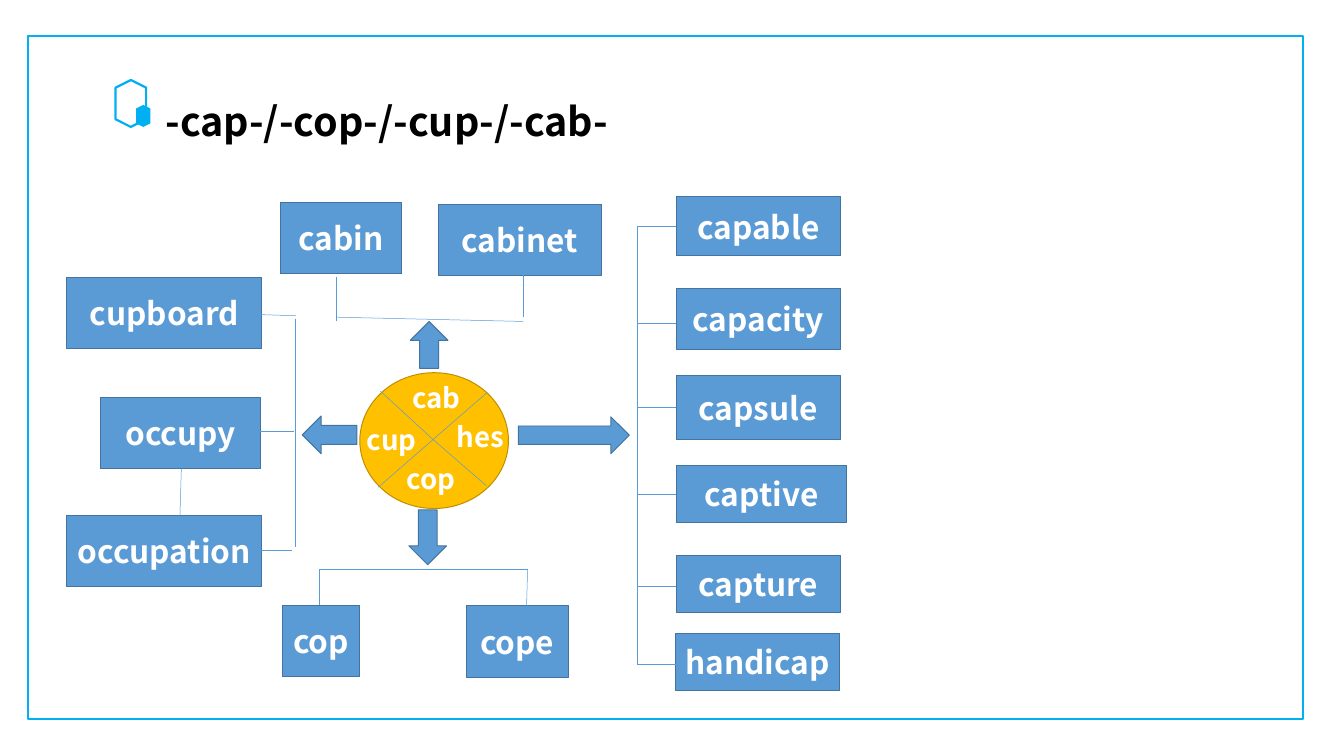
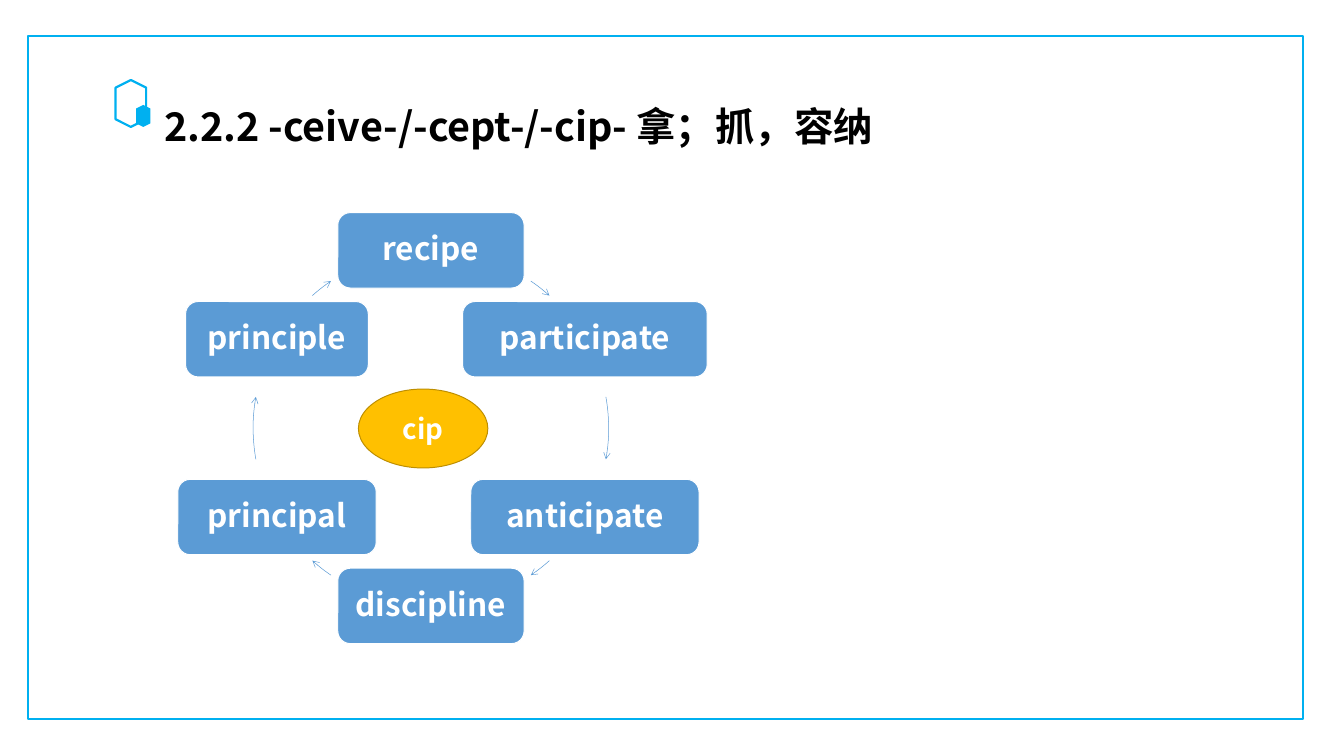
import math

import pptx
import pptx.util
from lxml import etree
from pptx.dml.color import RGBColor
from pptx.enum.shapes import MSO_CONNECTOR, MSO_SHAPE
from pptx.enum.text import MSO_ANCHOR, MSO_AUTO_SIZE, PP_ALIGN
from pptx.oxml.ns import qn

Inches, Pt = pptx.util.Inches, pptx.util.Pt

FONT = "Noto Sans CJK SC"
COLORS = {
    "frame": "00B0F0",
    "box": "5B9BD5",
    "box_edge": "43739E",
    "hub": "FFC000",
    "hub_edge": "BD8E00",
    "light": "FFFFFF",
    "dark": "000000",
}

# Slide 1: boxes as (word, left, top, width, height)
CAP_TITLE = ("-cap-/-cop-/-cup-/-cab-", 2.23, 1.32, 6.99)
BRANCH_BOXES = [
    ("cop", 3.97, 8.51, 1.09, 1),
    ("cope", 6.56, 8.52, 1.43, 1),
    ("cabin", 3.94, 2.85, 1.71, 1),
    ("cabinet", 6.16, 2.87, 2.3, 1),
    ("cupboard", 0.94, 3.9, 2.74, 1),
    ("occupy", 1.41, 5.59, 2.26, 1),
    ("occupation", 0.94, 7.25, 2.74, 1),
    ("capable", 9.51, 2.77, 2.31, 0.83),
    ("capacity", 9.51, 4.05, 2.31, 0.86),
    ("capsule", 9.51, 5.28, 2.31, 0.9),
    ("captive", 9.51, 6.55, 2.4, 0.8),
    ("capture", 9.51, 7.81, 2.31, 0.8),
    ("handicap", 9.5, 8.91, 2.31, 0.8),
]
HUB = (5.06, 5.24, 2.09, 1.91)
HUB_ROOTS = [("cup", 5.06, 5.9), ("hes", 6.32, 5.86), ("cab", 5.7, 5.31), ("cop", 5.62, 6.45)]
HUB_SPOKE_ENDS = [(6.84, 6.83), (6.85, 5.52), (5.32, 6.85), (5.35, 5.5)]
HUB_ARROWS = [
    (MSO_SHAPE.RIGHT_ARROW, 7.29, 5.86, 1.56, 0.52),
    (MSO_SHAPE.DOWN_ARROW, 5.75, 7.17, 0.53, 0.77),
    (MSO_SHAPE.LEFT_ARROW, 4.25, 5.85, 0.77, 0.53),
    (MSO_SHAPE.UP_ARROW, 5.77, 4.52, 0.53, 0.66),
]
CAP_SPINE, CAP_TICKS = 8.96, (3.18, 4.55, 5.73, 6.95, 8.25, 9.34)
BRACKETS = [
    (4.49, 8, 7.42, 8), (4.49, 8.51, 4.49, 8), (7.4, 8.68, 7.42, 8), (3.97, 9.31, 4.28, 9.32),
    (4.73, 4.46, 7.36, 4.52), (4.73, 4.52, 4.73, 3.9), (7.36, 4.46, 7.36, 3.85),
    (4.15, 4.48, 4.15, 7.69), (3.54, 4.42, 4.16, 4.44), (3.55, 6.06, 4.14, 6.06),
    (3.61, 7.74, 4.11, 7.74), (2.53, 7.28, 2.55, 6.59),
    (CAP_SPINE, CAP_TICKS[0], CAP_SPINE, CAP_TICKS[-1]),
] + [(CAP_SPINE, y, 9.5, y) for y in CAP_TICKS]

# Slide 2: words clockwise from the top, with box widths
CIP_TITLE = ("2.2.2 -ceive-/-cept-/-cip- 拿；抓，容纳", 2.21, 1.39, 10.71)
CIP_HUB = (5.04, 5.47, 1.82, 1.11)
CYCLE = [("recipe", 2.62), ("participate", 3.44), ("anticipate", 3.21),
         ("discipline", 2.62), ("principal", 2.79), ("principle", 2.57)]
CYCLE_CENTER, CYCLE_RADIUS, CYCLE_BOX_HEIGHT = (6.06, 6.02), 2.5, 1.06
# Middle angle and half sweep of each arc, in degrees clockwise from the right
CYCLE_ARCS = [(-52, 3.8), (0, 10.1), (52, 3.8), (128, 3.8), (180, 10.1), (232, 3.8)]


def rgb(color):
    return RGBColor.from_string(COLORS[color])


def set_line(line, color, width):
    line.color.rgb = rgb(color)
    line.width = Pt(width)


def write(shape, words, size, color="light", align=PP_ALIGN.CENTER, anchor=MSO_ANCHOR.MIDDLE):
    frame = shape.text_frame
    frame.text = words
    frame.word_wrap = False
    frame.auto_size = MSO_AUTO_SIZE.NONE
    frame.vertical_anchor = anchor
    paragraph = frame.paragraphs[0]
    paragraph.alignment = align
    for run in paragraph.runs:
        run.font.size, run.font.bold, run.font.name = Pt(size), True, FONT
        run.font.color.rgb = rgb(color)
        east_asian = etree.Element(qn("a:ea"), typeface=FONT)
        run._r.rPr.find(qn("a:latin")).addnext(east_asian)
    return paragraph


def add_shape(slide, kind, at, fill=None, edge=None, width=1.0):
    shape = slide.shapes.add_shape(kind, *map(Inches, at))
    shape.shadow.inherit = False
    if fill:
        shape.fill.solid()
        shape.fill.fore_color.rgb = rgb(fill)
    else:
        shape.fill.background()
    if edge:
        set_line(shape.line, edge, width)
    else:
        shape.line.fill.background()
    return shape


def add_line(slide, *ends):
    line = slide.shapes.add_connector(MSO_CONNECTOR.STRAIGHT, *map(Inches, ends))
    set_line(line.line, "box", 0.5)
    etree.SubElement(line._element.spPr, qn("a:effectLst"))


def on_cycle(degrees):
    angle = math.radians(degrees)
    return (CYCLE_CENTER[0] + CYCLE_RADIUS * math.cos(angle),
            CYCLE_CENTER[1] + CYCLE_RADIUS * math.sin(angle))


def add_arc_arrow(slide, middle, half_sweep):
    corner = [center - CYCLE_RADIUS for center in CYCLE_CENTER]
    at = (*corner, 2 * CYCLE_RADIUS, 2 * CYCLE_RADIUS)
    arc = add_shape(slide, MSO_SHAPE.ARC, at, edge="box", width=0.5)
    for i, degrees in enumerate((middle - half_sweep, middle + half_sweep)):
        # Angles are stored in 60000ths of a degree, adjustments in 100000ths
        arc.adjustments[i] = degrees % 360 * 0.6
    etree.SubElement(arc.line._get_or_add_ln(), qn("a:tailEnd"), type="arrow")


def add_slide(deck, title, left, top, width):
    """Add a slide with the shared frame, hexagon mark and title."""
    slide = deck.slides.add_slide(deck.slide_layouts[5])
    add_shape(slide, MSO_SHAPE.RECTANGLE, (0.39, 0.51, 17.93, 9.6), edge="frame", width=2.25)
    outer = add_shape(slide, MSO_SHAPE.HEXAGON, (1.51, 1.24, 0.66, 0.43), edge="frame", width=2.25)
    inner = add_shape(slide, MSO_SHAPE.HEXAGON, (1.86, 1.53, 0.31, 0.2), fill="frame")
    outer.rotation = inner.rotation = 90
    heading = slide.shapes.title
    heading.left, heading.top = Inches(left), Inches(top)
    heading.width, heading.height = Inches(width), Inches(0.77)
    write(heading, title, 40, "dark", PP_ALIGN.LEFT, MSO_ANCHOR.TOP)
    return slide


def build_cap_slide(deck):
    slide = add_slide(deck, *CAP_TITLE)
    for word, *at in BRANCH_BOXES:
        write(add_shape(slide, MSO_SHAPE.RECTANGLE, at, "box", "box_edge"), word, 32)
    for kind, *at in HUB_ARROWS:
        add_shape(slide, kind, at, "box", "box_edge")
    add_shape(slide, MSO_SHAPE.FLOWCHART_CONNECTOR, HUB, "hub", "hub_edge")
    spokes = [(6.09, 6.18, *end) for end in HUB_SPOKE_ENDS]
    for ends in spokes + BRACKETS:
        add_line(slide, *ends)
    for root, left, top in HUB_ROOTS:
        label = slide.shapes.add_textbox(*map(Inches, (left, top, 0.93, 0.57)))
        write(label, root, 28, align=PP_ALIGN.LEFT, anchor=MSO_ANCHOR.TOP)


def build_cip_slide(deck):
    slide = add_slide(deck, *CIP_TITLE)
    hub = add_shape(slide, MSO_SHAPE.FLOWCHART_CONNECTOR, CIP_HUB, "hub", "hub_edge")
    write(hub, "cip", 28)
    for i, (word, width) in enumerate(CYCLE):
        x, y = on_cycle(-90 + i * 360 / len(CYCLE))
        at = (x - width / 2, y - CYCLE_BOX_HEIGHT / 2, width, CYCLE_BOX_HEIGHT)
        box = add_shape(slide, MSO_SHAPE.ROUNDED_RECTANGLE, at, "box", "light")
        write(box, word, 32).line_spacing = 0.9
    for arc in CYCLE_ARCS:
        add_arc_arrow(slide, *arc)


def main():
    deck = pptx.Presentation()
    deck.slide_width, deck.slide_height = Inches(18.9), Inches(10.63)
    build_cap_slide(deck)
    build_cip_slide(deck)
    deck.save("out.pptx")


if __name__ == "__main__":
    main()
